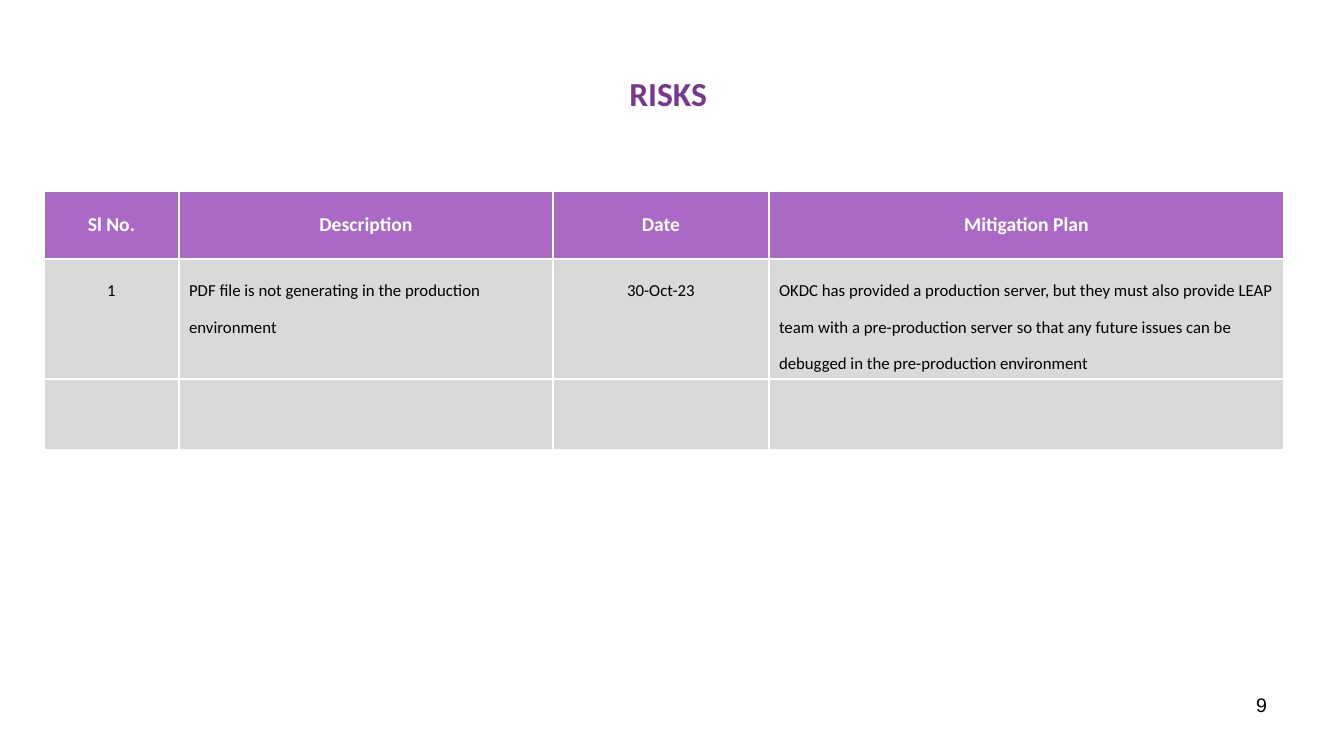
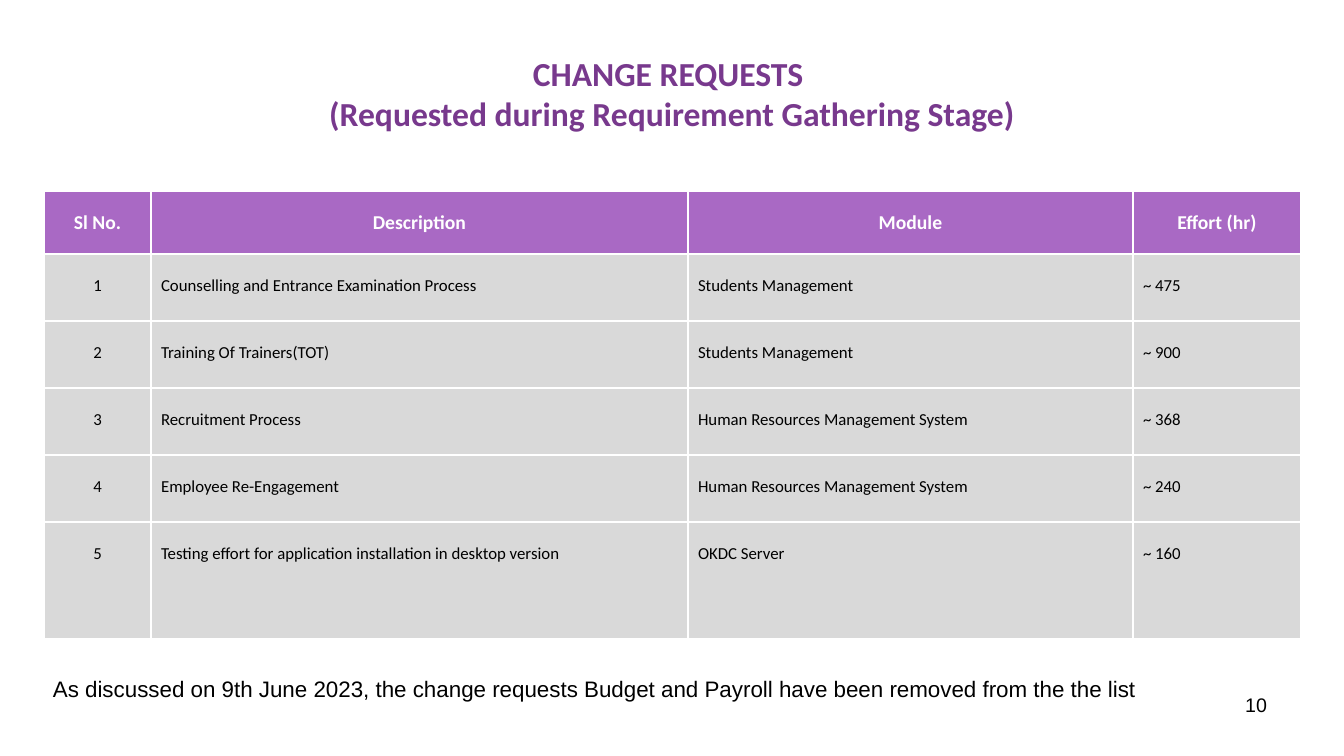
from lxml import etree
from pptx import Presentation
from pptx.dml.color import RGBColor
from pptx.enum.text import MSO_ANCHOR, MSO_AUTO_SIZE, PP_ALIGN
from pptx.oxml.ns import qn
from pptx.util import Pt

LEFT, CENTER, RIGHT = PP_ALIGN.LEFT, PP_ALIGN.CENTER, PP_ALIGN.RIGHT
TOP, MIDDLE = MSO_ANCHOR.TOP, MSO_ANCHOR.MIDDLE
GROW = MSO_AUTO_SIZE.SHAPE_TO_FIT_TEXT

TITLE_PURPLE = RGBColor(0x78, 0x39, 0x8D)
HEADER_PURPLE = RGBColor(0xA9, 0x69, 0xC4)
BODY_GREY = RGBColor(0xD9, 0xD9, 0xD9)
WHITE = RGBColor(0xFF, 0xFF, 0xFF)
BLACK = RGBColor(0, 0, 0)

SLIDE_W, SLIDE_H = 1344, 756
PX = 12192000 / SLIDE_W
TABLE_LEFT, TABLE_TOP = 44, 191

PAGES = [
    {
        "number": "9",
        "title": ["RISKS "],
        "columns": [135, 374, 216, 515],
        "rows": [68, 120, 71],
        "centered": [0, 2],
        "cells": [
            ["Sl No.", "Description", "Date", "Mitigation Plan"],
            ["1", "PDF file is not generating in the production environment", "30-Oct-23",
             "OKDC has provided a production server, but they must also provide LEAP team "
             "with a pre-production server so that any future issues can be debugged in "
             "the pre-production environment"],
            ["", "", "", ""],
        ],
        "note": None,
    },
    {
        "number": "10",
        "title": ["CHANGE REQUESTS ", "(Requested during Requirement Gathering Stage)"],
        "columns": [107, 537, 445, 168],
        "rows": [63] + [67] * 4 + [117],
        "centered": [0],
        "cells": [
            ["Sl No.", "Description", "Module", "Effort (hr)"],
            ["1", "Counselling and Entrance Examination Process", "Students Management", "~ 475"],
            ["2", "Training Of Trainers(TOT)", "Students Management", "~ 900"],
            ["3", "Recruitment Process", "Human Resources Management System", "~ 368"],
            ["4", "Employee Re-Engagement", "Human Resources Management System", "~ 240"],
            ["5", "Testing effort for application installation in desktop version",
             "OKDC Server", "~ 160"],
        ],
        "note": "As discussed on 9th June 2023, the change requests Budget and Payroll "
                "have been removed from the the list",
    },
]


def write(paragraph, lines, font, size, color, align, bold=False):
    paragraph.alignment = align
    for i, line in enumerate(lines):
        if i:
            paragraph.add_line_break()
        run = paragraph.add_run()
        run.text = line
        run.font.name = font
        run.font.size = Pt(size)
        run.font.bold = bold
        run.font.color.rgb = color


def add_text(slide, box, anchor, lines, *style):
    frame = slide.shapes.add_textbox(*[round(v * PX) for v in box]).text_frame
    frame.word_wrap = True
    frame.vertical_anchor = anchor
    write(frame.paragraphs[0], lines, *style)
    return frame


prs = Presentation()
prs.slide_width = round(SLIDE_W * PX)
prs.slide_height = round(SLIDE_H * PX)

for page in PAGES:
    slide = prs.slides.add_slide(prs.slide_layouts[6])
    add_text(slide, (67, 30, 1210, 126), MIDDLE, page["title"],
             "Calibri", 24, TITLE_PURPLE, CENTER, True)
    add_text(slide, (964, 688, 313, 52), TOP, [page["number"]],
             "Arial", 14, BLACK, RIGHT)

    columns, rows = page["columns"], page["rows"]
    extent = (TABLE_LEFT, TABLE_TOP, sum(columns), sum(rows))
    table = slide.shapes.add_table(
        len(rows), len(columns), *[round(v * PX) for v in extent]).table
    table.horz_banding = False
    for column, width in zip(table.columns, columns):
        column.width = round(width * PX)
    for row, height in zip(table.rows, rows):
        row.height = round(height * PX)

    for r, texts in enumerate(page["cells"]):
        for c, text in enumerate(texts):
            cell = table.cell(r, c)
            properties = cell._tc.get_or_add_tcPr()
            for side in ("a:lnL", "a:lnR", "a:lnT", "a:lnB"):
                border = etree.SubElement(properties, qn(side), w=str(Pt(1)))
                border_fill = etree.SubElement(border, qn("a:solidFill"))
                etree.SubElement(border_fill, qn("a:srgbClr"), val=str(WHITE))
            cell.fill.solid()
            cell.fill.fore_color.rgb = BODY_GREY if r else HEADER_PURPLE
            if not text:
                continue
            paragraph = cell.text_frame.paragraphs[0]
            if r:
                paragraph.line_spacing = 1.8
                align = CENTER if c in page["centered"] else LEFT
                write(paragraph, [text], "Calibri", 12, BLACK, align)
            else:
                cell.vertical_anchor = MIDDLE
                write(paragraph, [text], "Calibri", 14, WHITE, CENTER, True)

    if page["note"]:
        note = add_text(slide, (43, 670, 1228, 37), TOP, [page["note"]],
                        "Arial", 16, BLACK, LEFT)
        note.auto_size = GROW

prs.save("out.pptx")
